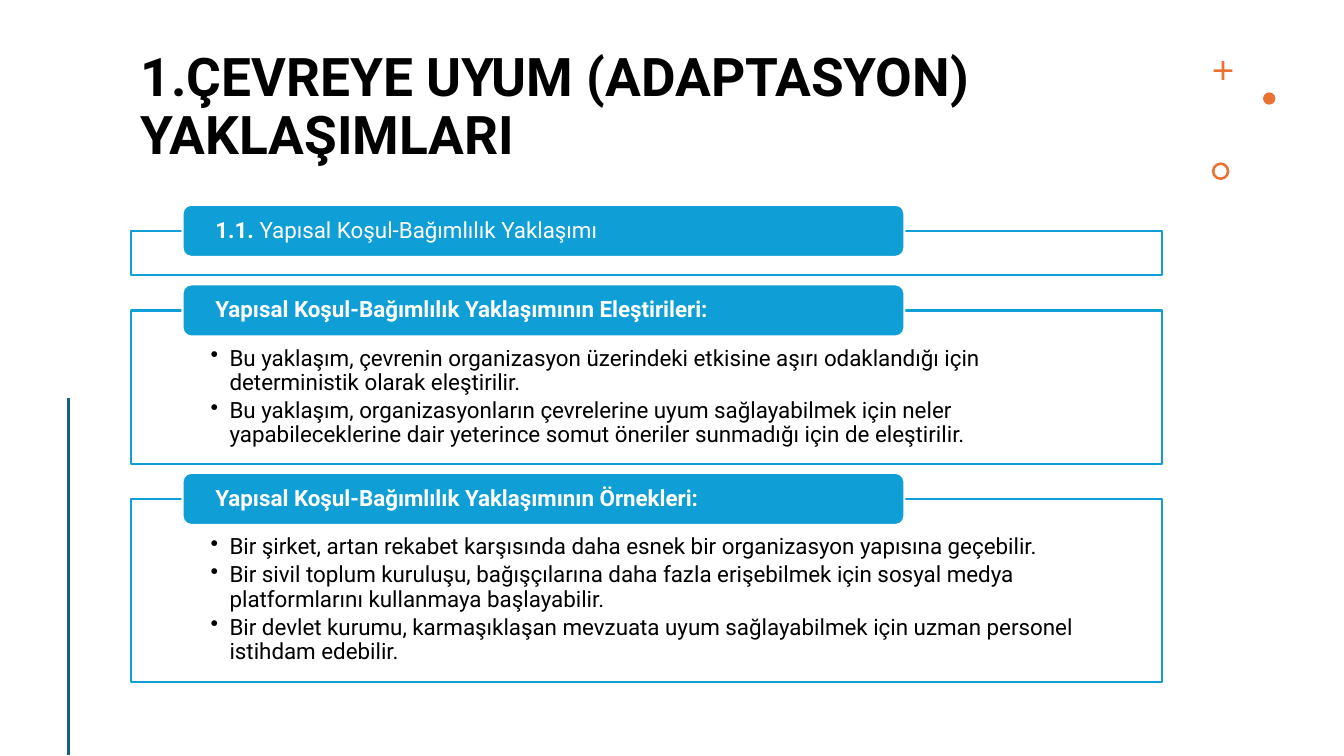
from lxml import etree
from pptx import Presentation
from pptx.dml.color import RGBColor
from pptx.enum import shapes, text
from pptx.oxml import ns
from pptx.util import Pt

COLORS = {
    "black": "000000",
    "white": "FFFFFF",
    "blue": "0F9ED5",
    "navy": "156082",
    "orange": "E97132",
}
KIND = shapes.MSO_SHAPE
ANCHOR = text.MSO_ANCHOR


class SlideKit:
    font_name = "Roboto"
    line_spacing = 0.9

    def __init__(self, slide):
        self.slide = slide

    def color(self, name):
        return RGBColor.from_string(COLORS[name])

    def shape(self, kind, box, fill, outline=None, adjust=None):
        item = self.slide.shapes.add_shape(kind, *map(Pt, box))
        item.shadow.inherit = False
        item.fill.solid()
        item.fill.fore_color.rgb = self.color(fill)
        if outline:
            item.line.color.rgb = self.color(outline)
            item.line.width = Pt(1.5)
        else:
            item.line.fill.background()
        if adjust is not None:
            item.adjustments[0] = adjust
        return item

    def frame(self, item, insets, anchor):
        frame = item.text_frame
        frame.word_wrap = True
        frame.vertical_anchor = anchor
        (frame.margin_left, frame.margin_top,
         frame.margin_right, frame.margin_bottom) = map(Pt, insets)
        return frame

    def style(self, paragraph, size, color, bold=None):
        paragraph.alignment = text.PP_ALIGN.LEFT
        paragraph.line_spacing = self.line_spacing
        paragraph.font.name = self.font_name
        paragraph.font.size = Pt(size)
        paragraph.font.color.rgb = self.color(color)
        paragraph.font.bold = bold

    def title(self, box, wording):
        item = self.slide.shapes.add_textbox(*map(Pt, box))
        paragraph = self.frame(item, (7.2, 3.6, 7.2, 3.6), ANCHOR.MIDDLE).paragraphs[0]
        paragraph.text = wording
        self.style(paragraph, 38, "black", True)

    def panel(self, box, bullets):
        item = self.shape(KIND.RECTANGLE, box, "white", "blue")
        fill_color = item.fill._xPr.find(ns.qn("a:solidFill"))[0]
        etree.SubElement(fill_color, ns.qn("a:alpha"), val="90000")
        frame = self.frame(item, (56.9, 26, 56.9, 8.6), ANCHOR.TOP)
        for index, wording in enumerate(bullets):
            paragraph = frame.add_paragraph() if index else frame.paragraphs[0]
            paragraph.text = wording
            properties = paragraph._p.get_or_add_pPr()
            properties.set("marL", str(Pt(13.5)))
            properties.set("indent", str(-Pt(13.5)))
            etree.SubElement(properties, ns.qn("a:buChar"), char="•")
            self.style(paragraph, 16, "black")
            paragraph.space_after = Pt(2.9)

    def heading(self, box, parts):
        item = self.shape(KIND.ROUNDED_RECTANGLE, box, "blue", "white")
        paragraph = self.frame(item, (21.6, 0, 21.6, 0), ANCHOR.MIDDLE).paragraphs[0]
        for wording, bold in parts:
            run = paragraph.add_run()
            run.text = wording
            if len(parts) > 1:
                run.font.bold = bold
        self.style(paragraph, 16, "white", parts[0][1])

    def line(self, start, end, color, width):
        item = self.slide.shapes.add_connector(
            shapes.MSO_CONNECTOR.STRAIGHT, *map(Pt, start + end))
        item.line.color.rgb = self.color(color)
        item.line.width = Pt(width)
        etree.SubElement(item._element.spPr, ns.qn("a:effectLst"))


SECTIONS = [
    (31.7, [("1.1. ", True), ("Yapısal Koşul-Bağımlılık Yaklaşımı", False)], []),
    (109.4, [("Yapısal Koşul-Bağımlılık Yaklaşımının Eleştirileri:", True)], [
        "Bu yaklaşım, çevrenin organizasyon üzerindeki etkisine aşırı odaklandığı "
        "için deterministik olarak eleştirilir.",
        "Bu yaklaşım, organizasyonların çevrelerine uyum sağlayabilmek için neler "
        "yapabileceklerine dair yeterince somut öneriler sunmadığı için de eleştirilir.",
    ]),
    (131, [("Yapısal Koşul-Bağımlılık Yaklaşımının Örnekleri:", True)], [
        "Bir şirket, artan rekabet karşısında daha esnek bir organizasyon yapısına "
        "geçebilir.",
        "Bir sivil toplum kuruluşu, bağışçılarına daha fazla erişebilmek için sosyal "
        "medya platformlarını kullanmaya başlayabilir.",
        "Bir devlet kurumu, karmaşıklaşan mevzuata uyum sağlayabilmek için uzman "
        "personel istihdam edebilir.",
    ]),
]
PANEL_LEFT, PANEL_WIDTH, PANEL_GAP = 93.6, 736.6, 25.2
HEADING_LEFT, HEADING_WIDTH, HEADING_HEIGHT, HEADING_RISE = 130.4, 515.6, 37.2, 18.6


def main():
    presentation = Presentation()
    presentation.slide_width, presentation.slide_height = Pt(960), Pt(540)
    kit = SlideKit(presentation.slides.add_slide(presentation.slide_layouts[6]))

    kit.title((93.6, 30.2, 736.6, 94.3), "1.ÇEVREYE UYUM (ADAPTASYON) YAKLAŞIMLARI")
    kit.shape(KIND.CROSS, (866.9, 43.7, 13.4, 13.4), "orange", adjust=0.43)
    kit.shape(KIND.OVAL, (902.2, 66, 8.8, 8.8), "orange")
    kit.shape(KIND.DONUT, (865.6, 116, 12.6, 12.6), "orange", adjust=0.15)
    kit.line((49, 284), (49, 539.6), "navy", 2)

    top = 164.9
    for height, heading, bullets in SECTIONS:
        kit.panel((PANEL_LEFT, top, PANEL_WIDTH, height), bullets)
        kit.heading((HEADING_LEFT, top - HEADING_RISE, HEADING_WIDTH, HEADING_HEIGHT),
                    heading)
        top += height + PANEL_GAP

    presentation.save("out.pptx")


if __name__ == "__main__":
    main()
